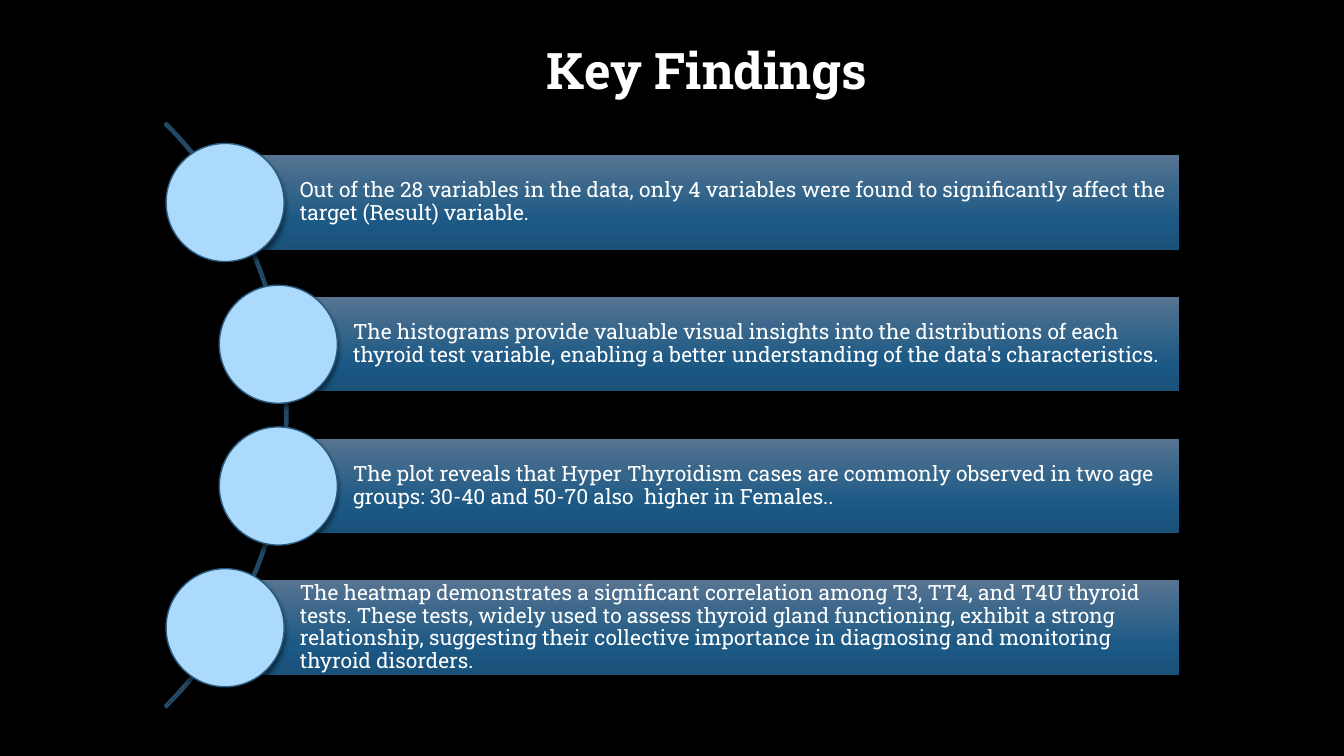
import copy
import math

import pptx
import pptx.dml.color
import pptx.enum.shapes
import pptx.enum.text
import pptx.oxml
import pptx.oxml.ns
import pptx.util

Pt = pptx.util.Pt
SHAPE = pptx.enum.shapes.MSO_SHAPE
FONT = "Roboto Slab"
BAR_GRADIENT = [(0, "567491"), (0.69, "1C5985"), (1, "195179")]
FINDINGS = [
    "Out of the 28 variables in the data, only 4 variables were found to significantly "
    "affect the target (Result) variable.",
    "The histograms provide valuable visual insights into the distributions of each "
    "thyroid test variable, enabling a better understanding of the data's characteristics.",
    "The plot reveals that Hyper Thyroidism cases are commonly observed in two age "
    "groups: 30-40 and 50-70 also  higher in Females..",
    "The heatmap demonstrates a significant correlation among T3, TT4, and T4U thyroid "
    "tests. These tests, widely used to assess thyroid gland functioning, exhibit a strong "
    "relationship, suggesting their collective importance in diagnosing and monitoring "
    "thyroid disorders.",
]


def rgb(hex_string):
    return pptx.dml.color.RGBColor.from_string(hex_string)


def add_shape(s, kind, left, top, width, height):
    sp = s.shapes.add_shape(kind, Pt(left), Pt(top), Pt(width), Pt(height))
    sp.shadow.inherit = False
    return sp


def set_outline(sp, color, width):
    sp.line.color.rgb = rgb(color)
    sp.line.width = Pt(width)


def drop_shadow(sp):
    """Put a soft black shadow just below the shape."""
    effects = sp.element.spPr.find(pptx.oxml.ns.qn("a:effectLst"))
    effects.append(pptx.oxml.parse_xml(
        f'<a:outerShdw {pptx.oxml.ns.nsdecls("a")} blurRad="{Pt(4)}" dist="{Pt(3)}" '
        'dir="5400000" algn="ctr" rotWithShape="0">'
        '<a:srgbClr val="000000"><a:alpha val="54000"/></a:srgbClr></a:outerShdw>'))


def fill_gradient(sp, stops):
    """Fill from top to bottom with (position, colour) stops."""
    sp.fill.gradient()
    sp.fill.gradient_angle = 270
    stop_list = sp.element.spPr.find(".//" + pptx.oxml.ns.qn("a:gsLst"))
    while len(stop_list) < len(stops):
        stop_list.append(copy.deepcopy(stop_list[0]))
    for stop, (position, color) in zip(sp.fill.gradient_stops, stops):
        stop.position = position
        stop.color.rgb = rgb(color)


def style_paragraph(p, text, size, align, bold=False):
    p.text = text
    p.alignment = align
    p.font.name = FONT
    p.font.size = Pt(size)
    p.font.bold = bold
    p.font.color.rgb = rgb("FFFFFF")


def add_title(s, left, top, width, height):
    tf = s.shapes.add_textbox(Pt(left), Pt(top), Pt(width), Pt(height)).text_frame
    tf.word_wrap = True
    tf.auto_size = pptx.enum.text.MSO_AUTO_SIZE.SHAPE_TO_FIT_TEXT
    style_paragraph(tf.paragraphs[0], "Key Findings", 36,
                    pptx.enum.text.PP_ALIGN.CENTER, bold=True)


def add_bar(s, text, left, top, width, height):
    bar = add_shape(s, SHAPE.RECTANGLE, left, top, width, height)
    fill_gradient(bar, BAR_GRADIENT)
    bar.line.fill.background()
    drop_shadow(bar)
    tf = bar.text_frame
    tf.word_wrap = True
    tf.vertical_anchor = pptx.enum.text.MSO_ANCHOR.MIDDLE
    tf.margin_left = Pt(53.4)
    tf.margin_top = tf.margin_right = tf.margin_bottom = Pt(3)
    p = tf.paragraphs[0]
    style_paragraph(p, text, 15, pptx.enum.text.PP_ALIGN.LEFT)
    p.line_spacing = 0.9


def add_node(s, center_x, center_y, diameter):
    node = add_shape(s, SHAPE.OVAL, center_x - diameter / 2, center_y - diameter / 2,
                     diameter, diameter)
    node.fill.solid()
    node.fill.fore_color.rgb = rgb("ABDAFC")
    set_outline(node, "2A5B7F", 1)
    drop_shadow(node)


def add_findings(s, left, top, width, height):
    """Hang one bar per finding on an arc that bulges right from the box's left edge."""
    pitch = height / len(FINDINGS)
    bar_height = pitch / 1.5
    diameter = bar_height * 1.25
    mid_y = top + height / 2
    radius = 293
    first_dy = pitch * (len(FINDINGS) - 1) / 2
    arc_x = left + diameter / 2 - math.sqrt(radius ** 2 - first_dy ** 2)

    arc_size = 590.4
    arc = add_shape(s, SHAPE.BLOCK_ARC, arc_x - arc_size / 2, mid_y - arc_size / 2,
                    arc_size, arc_size)
    for i, value in enumerate((189, 27, 0.003)):
        arc.adjustments[i] = value
    arc.fill.background()
    set_outline(arc, "224966", 1.5)

    for i, text in enumerate(FINDINGS):
        dy = i * pitch - first_dy
        x = arc_x + math.sqrt(radius ** 2 - dy ** 2)
        y = mid_y + dy
        add_bar(s, text, x, y - bar_height / 2, left + width - x, bar_height)
        add_node(s, x, y, diameter)


def main():
    prs = pptx.Presentation()
    prs.slide_width, prs.slide_height = Pt(960), Pt(540)
    s = prs.slides.add_slide(prs.slide_layouts[6])
    s.background.fill.solid()
    s.background.fill.fore_color.rgb = rgb("000000")
    add_title(s, 55.4, 24.5, 898.6, 51)
    add_findings(s, 118.6, 94, 723.8, 405)
    prs.save("out.pptx")


if __name__ == "__main__":
    main()
